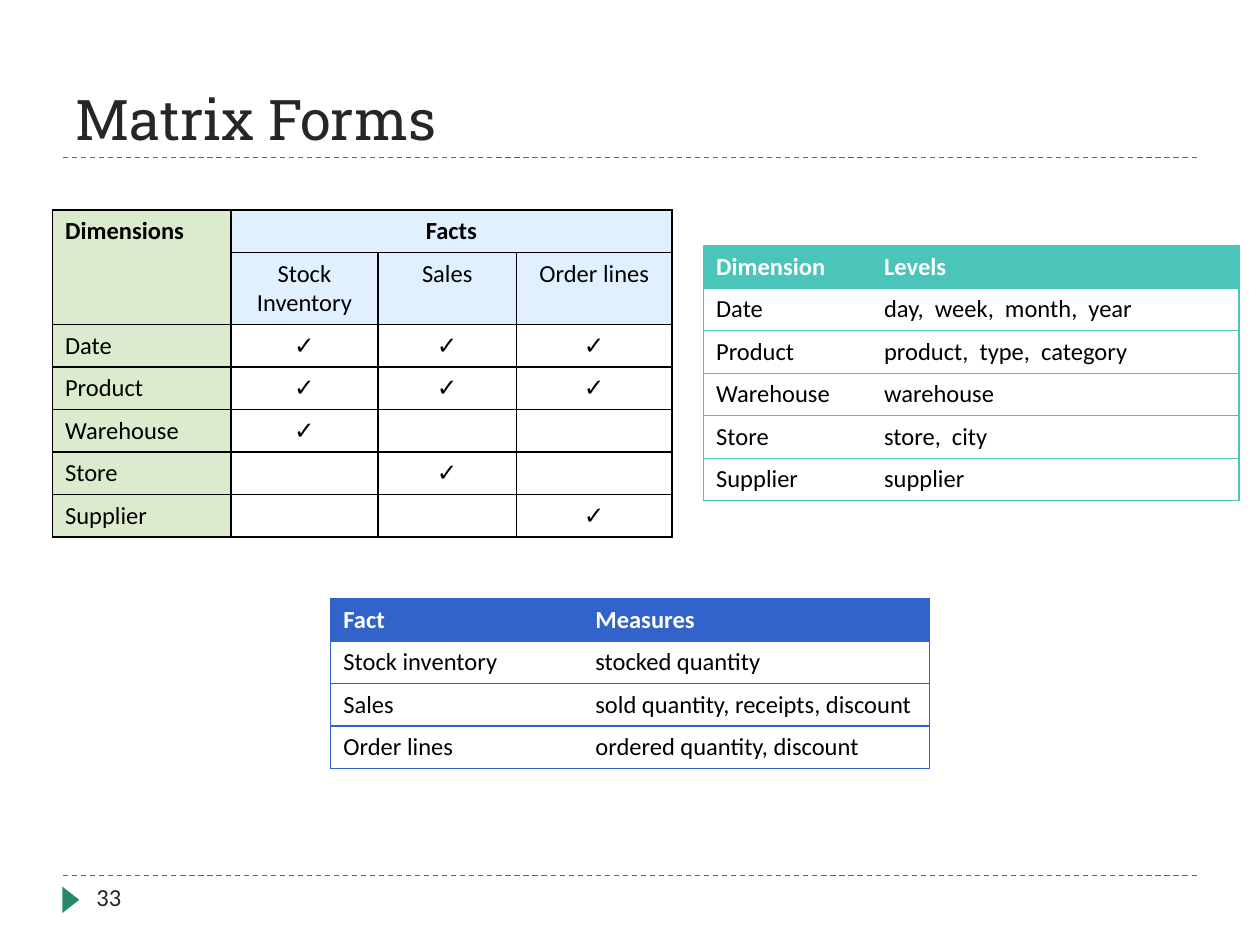
"""Build the Matrix Forms slide on a grid of 120 columns by 90 rows."""
from dataclasses import dataclass

from lxml import etree
from pptx import Presentation, util as u
from pptx.dml.color import RGBColor
from pptx.enum import dml, shapes, text
from pptx.oxml.ns import qn

BLACK = RGBColor(0, 0, 0)
WHITE = RGBColor(255, 255, 255)
INK = RGBColor(0x26, 0x26, 0x26)
GREEN = RGBColor(0x26, 0x88, 0x68)
TEAL = RGBColor(0x4B, 0xC5, 0xB9)
BLUE = RGBColor(0x31, 0x63, 0xCA)
PALE_GREEN = RGBColor(0xDC, 0xEB, 0xCE)
PALE_BLUE = RGBColor(0xE1, 0xF0, 0xFF)

SLIDE_WIDTH, SLIDE_HEIGHT = u.Inches(10), u.Inches(7.5)
UNIT = SLIDE_WIDTH // 120
ROW, TALL_ROW = 4.05, 6.86
BODY_SIZE = 14
CHECK = "✓"


@dataclass(frozen=True)
class Box:
    left: float
    top: float
    width: float
    height: float

    def lengths(self) -> list[int]:
        return [grid(n) for n in (self.left, self.top, self.width, self.height)]


@dataclass(frozen=True)
class Label:
    content: str
    box: Box
    size: int
    font: str
    anchor: text.MSO_ANCHOR


@dataclass(frozen=True)
class Listing:
    left: float
    top: float
    columns: tuple[float, ...]
    color: RGBColor
    rows: tuple[tuple[str, str], ...]


LABELS = (
    Label("Matrix Forms", Box(6, 2, 108, 13), 32, "Roboto Slab", text.MSO_ANCHOR.BOTTOM),
    Label("33", Box(8, 83.4, 26, 4.8), BODY_SIZE, "Calibri", text.MSO_ANCHOR.TOP),
)
MATRIX = (
    ("Dimensions", "Facts", "", ""),
    ("", "Stock Inventory", "Sales", "Order lines"),
    ("Date", CHECK, CHECK, CHECK),
    ("Product", CHECK, CHECK, CHECK),
    ("Warehouse", CHECK, "", ""),
    ("Store", "", CHECK, ""),
    ("Supplier", "", "", CHECK),
)
LISTINGS = (
    Listing(31.5, 57, (24, 33), BLUE, (
        ("Fact", "Measures"),
        ("Stock inventory", "stocked quantity"),
        ("Sales", "sold quantity, receipts, discount"),
        ("Order lines", "ordered quantity, discount"),
    )),
    Listing(67, 23.4, (16, 35), TEAL, (
        ("Dimension", "Levels"),
        ("Date", "day,  week,  month,  year"),
        ("Product", "product,  type,  category"),
        ("Warehouse", "warehouse"),
        ("Store", "store,  city"),
        ("Supplier", "supplier"),
    )),
)


def grid(count: float) -> int:
    return round(count * UNIT)


def style(paragraph, size: int, font: str, color: RGBColor, bold: bool = False) -> None:
    paragraph.font.size = u.Pt(size)
    paragraph.font.name = font
    paragraph.font.bold = bold
    paragraph.font.color.rgb = color


def draw_label(slide, label: Label) -> None:
    frame = slide.shapes.add_textbox(*label.box.lengths()).text_frame
    frame.word_wrap = True
    frame.vertical_anchor = label.anchor
    frame.text = label.content
    style(frame.paragraphs[0], label.size, label.font, INK)


def draw_rule(slide, row: float) -> None:
    rule = slide.shapes.add_connector(
        shapes.MSO_CONNECTOR.STRAIGHT, grid(6), grid(row), grid(114), grid(row))
    rule.line.color.rgb = GREEN
    rule.line.width = u.Pt(0.75)
    rule.line.dash_style = dml.MSO_LINE.DASH
    etree.SubElement(rule._element.spPr, qn("a:effectLst"))


def draw_marker(slide, box: Box) -> None:
    marker = slide.shapes.add_shape(shapes.MSO_SHAPE.ISOSCELES_TRIANGLE, *box.lengths())
    marker.rotation = 90
    marker.shadow.inherit = False
    marker.fill.solid()
    marker.fill.fore_color.rgb = GREEN
    marker.line.fill.background()


def add_grid_table(slide, left: float, top: float, columns, heights):
    box = Box(left, top, sum(columns), sum(heights))
    table = slide.shapes.add_table(len(heights), len(columns), *box.lengths()).table
    table.first_row = table.horz_banding = False
    for column, width in zip(table.columns, columns):
        column.width = grid(width)
    for row, height in zip(table.rows, heights):
        row.height = grid(height)
    return table


def set_borders(cell, sides: str, color: RGBColor, width: float) -> None:
    properties = cell._tc.get_or_add_tcPr()
    for side in "LRTB":
        line = etree.SubElement(properties, qn(f"a:ln{side}"), w=str(u.Pt(width)))
        if side in sides:
            fill = etree.SubElement(line, qn("a:solidFill"))
            etree.SubElement(fill, qn("a:srgbClr"), val=str(color))
        else:
            etree.SubElement(line, qn("a:noFill"))


def fill_cell(cell, content: str, fill: RGBColor | None, color: RGBColor,
              bold: bool, centered: bool = False) -> None:
    if fill is None:
        cell.fill.background()
    else:
        cell.fill.solid()
        cell.fill.fore_color.rgb = fill
    cell.text = content
    paragraph = cell.text_frame.paragraphs[0]
    if not content:
        etree.SubElement(paragraph._p, qn("a:endParaRPr"), sz=str(BODY_SIZE * 100))
    paragraph.alignment = text.PP_ALIGN.CENTER if centered else text.PP_ALIGN.LEFT
    style(paragraph, BODY_SIZE, "Calibri", color, bold)


def draw_matrix(slide) -> None:
    heights = (ROW, TALL_ROW) + (ROW,) * 5
    table = add_grid_table(slide, 5, 20, (17, 14, 13.2, 14.8), heights)
    for i, row in enumerate(MATRIX):
        for j, content in enumerate(row):
            cell = table.cell(i, j)
            fill = PALE_GREEN if j == 0 else PALE_BLUE if i < 2 else None
            set_borders(cell, "LRTB", BLACK, 1)
            fill_cell(cell, content, fill, BLACK, i == 0, j > 0)
    table.cell(0, 0).merge(table.cell(1, 0))
    table.cell(0, 1).merge(table.cell(0, 3))


def draw_listing(slide, listing: Listing) -> None:
    heights = (ROW,) * len(listing.rows)
    table = add_grid_table(slide, listing.left, listing.top, listing.columns, heights)
    for i, row in enumerate(listing.rows):
        header = i == 0
        for j, content in enumerate(row):
            cell = table.cell(i, j)
            set_borders(cell, "LTB" if j == 0 else "RTB", listing.color, 0.75)
            fill_cell(cell, content, listing.color if header else None,
                      WHITE if header else BLACK, header)


def main() -> None:
    presentation = Presentation()
    presentation.slide_width, presentation.slide_height = SLIDE_WIDTH, SLIDE_HEIGHT
    slide = presentation.slides.add_slide(presentation.slide_layouts[6])
    for row in (83.4, 15):
        draw_rule(slide, row)
    draw_marker(slide, Box(5.5, 84.9, 2.5, 1.6))
    for label in LABELS:
        draw_label(slide, label)
    draw_matrix(slide)
    for listing in LISTINGS:
        draw_listing(slide, listing)
    presentation.save("out.pptx")


if __name__ == "__main__":
    main()
